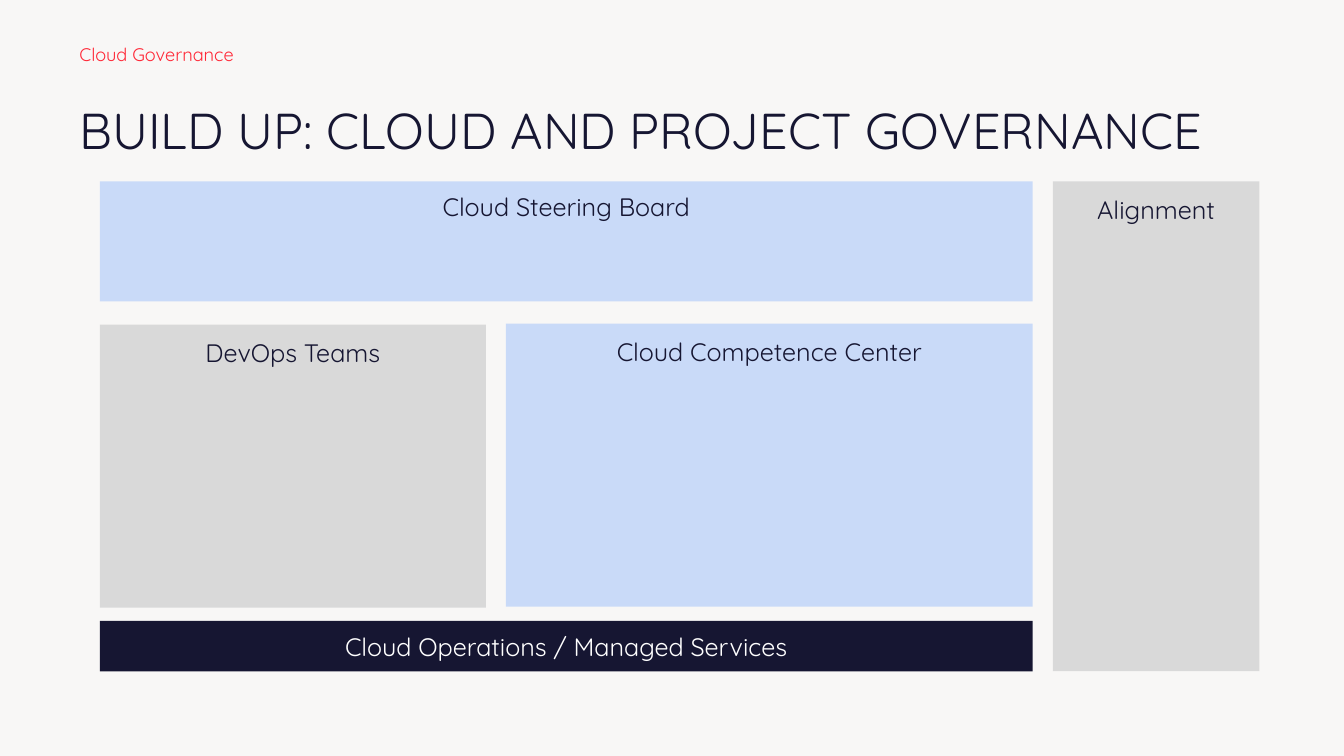
from dataclasses import dataclass

from pptx import Presentation
from pptx.dml.color import RGBColor
from pptx.enum.shapes import MSO_SHAPE
from pptx.enum.text import MSO_ANCHOR, PP_ALIGN
from pptx.shapes.autoshape import Shape
from pptx.slide import Slide
from pptx.util import Inches, Pt

RECTANGLE = MSO_SHAPE.RECTANGLE
TOP, MIDDLE = MSO_ANCHOR.TOP, MSO_ANCHOR.MIDDLE
LEFT, CENTER = PP_ALIGN.LEFT, PP_ALIGN.CENTER

PAPER = RGBColor(0xF8, 0xF7, 0xF6)
NAVY = RGBColor(0x16, 0x16, 0x32)
RED = RGBColor(0xFF, 0x28, 0x37)
GREY = RGBColor(0xD9, 0xD9, 0xD9)
BLUE = RGBColor(0xC9, 0xDA, 0xF8)
WHITE = RGBColor(0xFF, 0xFF, 0xFF)

FONT = "Quicksand"
SLIDE_WIDTH, SLIDE_HEIGHT = Inches(13.33), Inches(7.5)


@dataclass(frozen=True)
class Area:
    """Left, top, width and height in percent of the slide."""

    left: float
    top: float
    width: float
    height: float

    def lengths(self) -> tuple[int, int, int, int]:
        return (
            round(self.left * SLIDE_WIDTH / 100),
            round(self.top * SLIDE_HEIGHT / 100),
            round(self.width * SLIDE_WIDTH / 100),
            round(self.height * SLIDE_HEIGHT / 100),
        )


@dataclass(frozen=True)
class Heading:
    text: str
    area: Area
    size: float
    color: RGBColor
    line_spacing: float = 1.0


@dataclass(frozen=True)
class Block:
    text: str
    area: Area
    fill: RGBColor
    color: RGBColor = NAVY
    anchor: MSO_ANCHOR = TOP
    inset: float = 0.13


MARGIN, GUTTER = 7.43, 1.5
MAIN_WIDTH, TEAMS_WIDTH, ALIGNMENT_WIDTH = 69.4, 28.72, 15.38
CENTER_LEFT = MARGIN + TEAMS_WIDTH + GUTTER
CENTER_WIDTH = MARGIN + MAIN_WIDTH - CENTER_LEFT
ALIGNMENT_LEFT = MARGIN + MAIN_WIDTH + GUTTER
BOARD_TOP, BOARD_HEIGHT = 24, 15.87
CENTER_TOP, TEAMS_TOP, TEAMS_HEIGHT = 42.8, 42.93, 37.47
OPERATIONS_TOP, OPERATIONS_HEIGHT = 82.13, 6.67
ALIGNMENT_HEIGHT = OPERATIONS_TOP + OPERATIONS_HEIGHT - BOARD_TOP

HEADINGS = [
    Heading("BUILD UP: CLOUD AND PROJECT GOVERNANCE",
            Area(5.91, 13.07, 88.6, 10.53), 36, NAVY),
    Heading("Cloud Governance", Area(5.91, 6, 41.34, 5.2), 13, RED, 0.9),
]
BLOCKS = [
    Block("Alignment",
          Area(ALIGNMENT_LEFT, BOARD_TOP, ALIGNMENT_WIDTH, ALIGNMENT_HEIGHT), GREY),
    Block("Cloud Competence Center",
          Area(CENTER_LEFT, CENTER_TOP, CENTER_WIDTH, TEAMS_HEIGHT), BLUE),
    Block("DevOps Teams",
          Area(MARGIN, TEAMS_TOP, TEAMS_WIDTH, TEAMS_HEIGHT), GREY),
    Block("Cloud Operations / Managed Services",
          Area(MARGIN, OPERATIONS_TOP, MAIN_WIDTH, OPERATIONS_HEIGHT),
          NAVY, WHITE, MIDDLE),
    Block("Cloud Steering Board",
          Area(MARGIN, BOARD_TOP, MAIN_WIDTH, BOARD_HEIGHT), BLUE, inset=0.1),
]


def apply(target: object, formats: dict[str, object]) -> None:
    for attribute, value in formats.items():
        setattr(target, attribute, value)


def write(holder: Shape, text: str, size: float, color: RGBColor,
          align: PP_ALIGN, anchor: MSO_ANCHOR, inset: float,
          line_spacing: float = 1.0) -> None:
    frame = holder.text_frame
    sides = ("margin_left", "margin_top", "margin_right", "margin_bottom")
    apply(frame, {"word_wrap": True, "vertical_anchor": anchor}
          | dict.fromkeys(sides, Inches(inset)))
    paragraph = frame.paragraphs[0]
    apply(paragraph, {"alignment": align, "line_spacing": line_spacing})
    run = paragraph.add_run()
    run.text = text
    apply(run.font, {"name": FONT, "size": Pt(size)})
    run.font.color.rgb = color


def draw_heading(slide: Slide, heading: Heading) -> None:
    holder = slide.shapes.add_textbox(*heading.area.lengths())
    write(holder, heading.text, heading.size, heading.color, LEFT, TOP, 0,
          heading.line_spacing)


def draw_block(slide: Slide, block: Block) -> None:
    panel = slide.shapes.add_shape(RECTANGLE, *block.area.lengths())
    panel.shadow.inherit = False
    panel.fill.solid()
    panel.fill.fore_color.rgb = block.fill
    panel.line.fill.background()
    write(panel, block.text, 18, block.color, CENTER, block.anchor, block.inset)


def main() -> None:
    presentation = Presentation()
    apply(presentation, {"slide_width": SLIDE_WIDTH, "slide_height": SLIDE_HEIGHT})
    slide = presentation.slides.add_slide(presentation.slide_layouts[6])
    slide.background.fill.solid()
    slide.background.fill.fore_color.rgb = PAPER
    for heading in HEADINGS:
        draw_heading(slide, heading)
    for block in BLOCKS:
        draw_block(slide, block)
    presentation.save("out.pptx")


if __name__ == "__main__":
    main()
